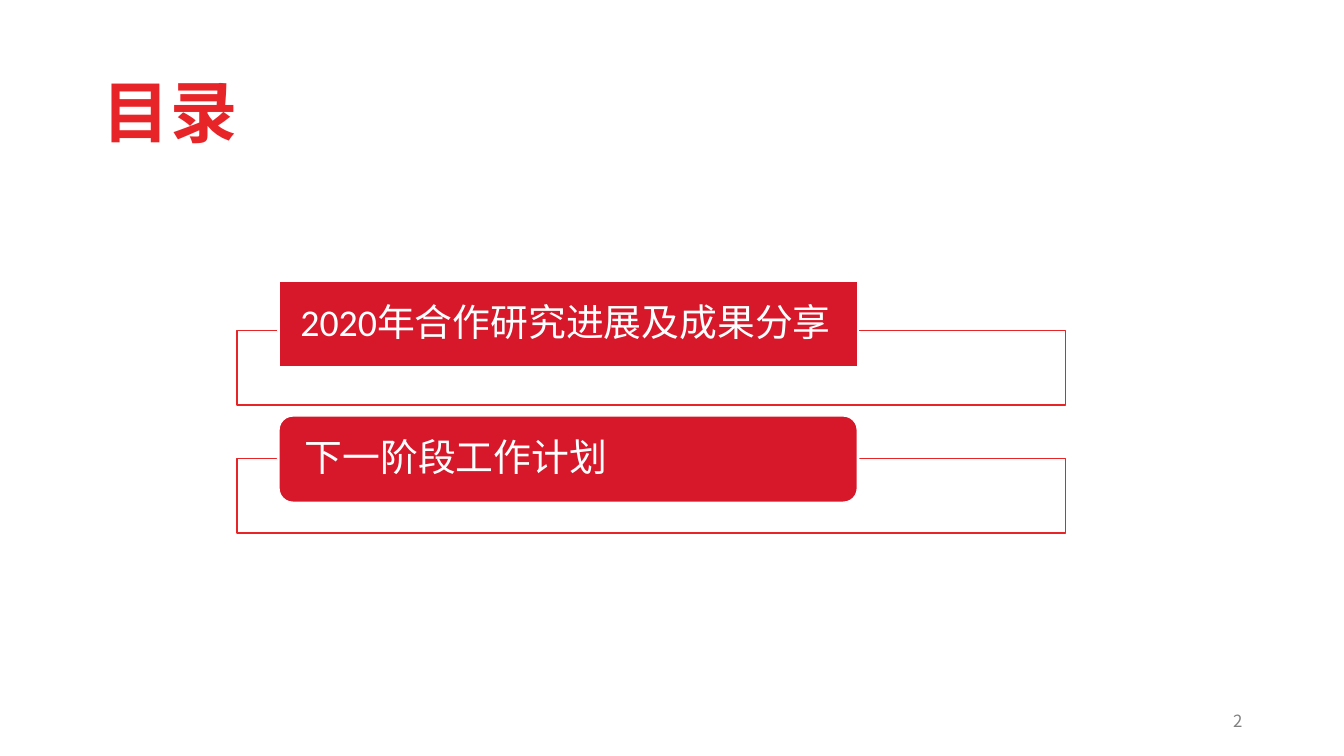
from lxml.etree import SubElement
from pptx import Presentation
from pptx.dml.color import RGBColor
from pptx.enum.shapes import MSO_SHAPE
from pptx.enum.text import MSO_ANCHOR, PP_ALIGN
from pptx.oxml.ns import qn
from pptx.util import Inches, Pt

COLORS = {"title": "E72427", "banner": "D7182A", "white": "FFFFFF", "number": "808080"}
CJK_FONT = "Noto Sans CJK SC"


def write_text(shape, text, size, color, font=CJK_FONT, bold=False,
               align=PP_ALIGN.LEFT, anchor=MSO_ANCHOR.MIDDLE, spacing=0.9):
    frame = shape.text_frame
    frame.word_wrap = True
    frame.vertical_anchor = anchor
    para = frame.paragraphs[0]
    para.alignment = align
    para.line_spacing = spacing
    span = para.add_run()
    span.text = text
    span.font.name = font
    span.font.size = Pt(size)
    span.font.bold = bold
    span.font.color.rgb = RGBColor.from_string(COLORS[color])
    # East Asian glyphs need their own typeface entry
    SubElement(span.font._element, qn("a:ea"), typeface=CJK_FONT)


def add_panel(page, kind, left, top, width, height, fill, line, weight):
    panel = page.shapes.add_shape(kind, Inches(left), Inches(top), Inches(width), Inches(height))
    panel.shadow.inherit = False
    panel.fill.solid()
    panel.fill.fore_color.rgb = RGBColor.from_string(COLORS[fill])
    panel.line.color.rgb = RGBColor.from_string(COLORS[line])
    panel.line.width = Pt(weight)
    return panel


deck = Presentation()
deck.slide_width = Inches(13.33)
deck.slide_height = Inches(7.5)
page = deck.slides.add_slide(deck.slide_layouts[5])

# Title
title = page.shapes.title
title.left, title.top = Inches(0.92), Inches(0.72)
title.width, title.height = Inches(1.76), Inches(0.84)
write_text(title, "目录", 48, "title", bold=True, anchor=MSO_ANCHOR.BOTTOM)

# Agenda entries: an outlined frame with a red banner over its top edge
entries = [
    ("2020年合作研究进展及成果分享", MSO_SHAPE.RECTANGLE, 3.28, 2.78),
    ("下一阶段工作计划", MSO_SHAPE.ROUNDED_RECTANGLE, 4.55, 4.12),
]
for text, kind, frame_top, banner_top in entries:
    outline = add_panel(page, MSO_SHAPE.RECTANGLE, 2.35, frame_top, 8.22, 0.74, "white", "title", 1)
    opacity = outline.fill._xPr.find(qn("a:solidFill"))[0]
    SubElement(opacity, qn("a:alpha"), val="90000")

    banner = add_panel(page, kind, 2.76, banner_top, 5.75, 0.87, "banner", "white", 2)
    banner.text_frame.margin_left = banner.text_frame.margin_right = Inches(0.22)
    banner.text_frame.margin_top = banner.text_frame.margin_bottom = 0
    write_text(banner, text, 27, "white", font="Calibri")

# Page number
number_box = page.shapes.add_textbox(Inches(9.42), Inches(6.95), Inches(3), Inches(0.4))
write_text(number_box, "2", 12, "number", align=PP_ALIGN.RIGHT, spacing=1.0)

deck.save("out.pptx")
